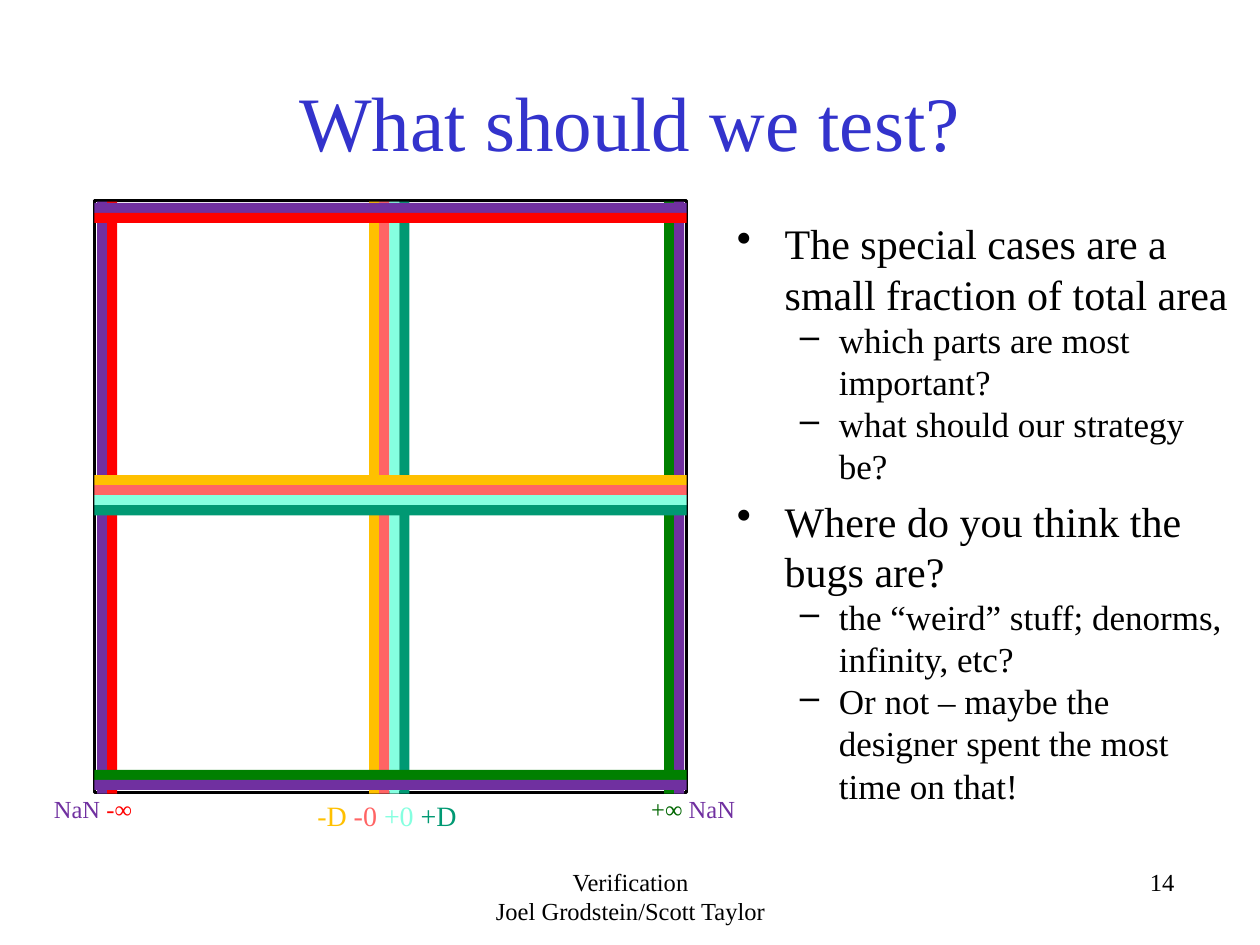
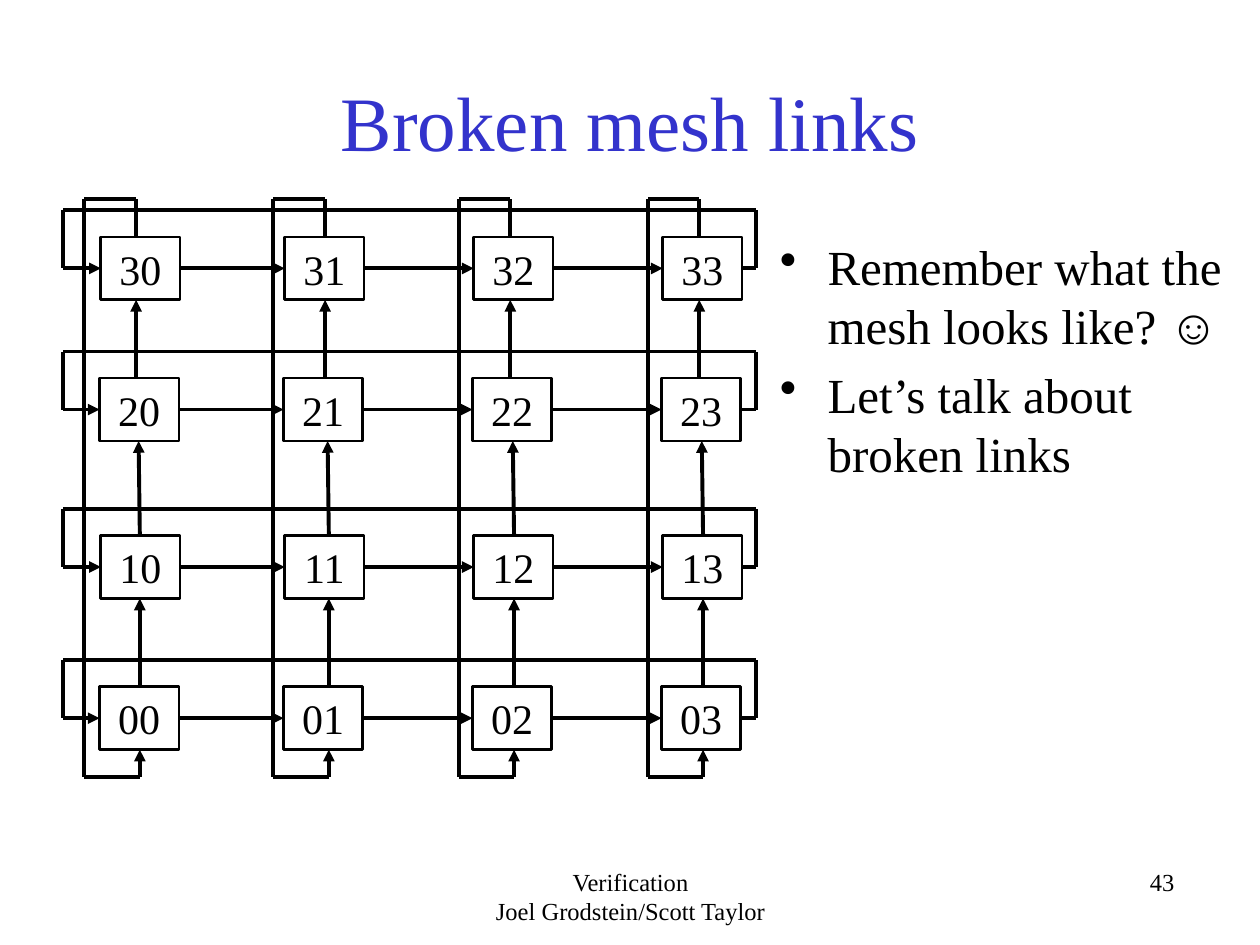
from dataclasses import dataclass
from typing import NamedTuple

from lxml.etree import SubElement
from pptx import Presentation
from pptx.dml.color import RGBColor
from pptx.enum.shapes import MSO_CONNECTOR, MSO_SHAPE
from pptx.enum.text import MSO_ANCHOR, MSO_AUTO_SIZE, PP_ALIGN
from pptx.oxml.ns import qn
from pptx.util import Emu, Pt

EMU_PER_PX = 9144
FONT = "Times New Roman"
BLACK = "000000"
WHITE = "FFFFFF"
TITLE_BLUE = "3333CC"
PURPLE = "7030A0"
RED = "FF0000"
GOLD = "FFC000"
CORAL = "FF6464"
AQUA = "85FFE0"
TEAL = "009973"
GREEN = "008000"
DARK_GREEN = "006600"

GRID_LEFT, GRID_TOP, GRID_SIDE = 75, 159, 470
BAND_WIDTH = 8
NODE_WIDTH, NODE_HEIGHT = 63, 50
RETURN_LEFT, RETURN_RIGHT, RETURN_RISE = 50, 600, 46
LOOP_TOP, LOOP_BOTTOM, LOOP_OFFSET = 158, 617, 44


class Area(NamedTuple):
    left: int
    top: int
    width: int
    height: int


class Point(NamedTuple):
    x: int
    y: int


class Span(NamedTuple):
    text: str
    color: str


class Bullet(NamedTuple):
    text: str
    size: int
    level: int = 0


@dataclass(frozen=True)
class Label:
    area: Area
    size: int
    spans: tuple[Span, ...]


@dataclass(frozen=True)
class BandGroup:
    offset: int
    colors: tuple[str, ...]


@dataclass(frozen=True)
class MeshRow:
    top: int
    shift: int


@dataclass(frozen=True)
class MeshColumn:
    left: int
    wire: int


TITLE_AREA = Area(75, 33, 850, 125)
FOOTER_AREA = Area(342, 683, 317, 50)
NUMBER_AREA = Area(625, 683, 317, 50)

BAND_GROUPS = (
    BandGroup(2, (PURPLE, RED)),
    BandGroup(218, (GOLD, CORAL, AQUA, TEAL)),
    BandGroup(452, (GREEN, PURPLE)),
)
LABELS = (
    Label(Area(242, 629, 146, 37), 16,
          (Span("-D ", GOLD), Span("-0 ", CORAL), Span("+0 ", AQUA), Span("+D", TEAL))),
    Label(Area(507, 625, 93, 34), 14, (Span("+∞ ", DARK_GREEN), Span("NaN", PURPLE))),
    Label(Area(33, 625, 100, 34), 14, (Span("NaN ", PURPLE), Span("-∞", RED))),
)
TEST_BULLETS = (
    Bullet("The special cases are a small fraction of total area", 24),
    Bullet("which parts are most important?", 20, 1),
    Bullet("what should our strategy be?", 20, 1),
    Bullet("Where do you think the bugs are?", 24),
    Bullet("the “weird” stuff; denorms, infinity, etc?", 20, 1),
    Bullet("Or not – maybe the designer spent the most time on that!", 20, 1),
)
MESH_BULLETS = (
    Bullet("Remember what the mesh looks like? ☺", 28),
    Bullet("Let’s talk about broken links", 28),
)
MESH_ROWS = (MeshRow(545, 0), MeshRow(425, 1), MeshRow(300, 0), MeshRow(188, 1))
MESH_COLUMNS = (MeshColumn(79, 111), MeshColumn(225, 261),
                MeshColumn(375, 408), MeshColumn(525, 558))
WIRE_LEAN = ((0, 0), (0, -1), (-3, -3))


def px(length: int) -> Emu:
    return Emu(length * EMU_PER_PX)


def rgb(color: str) -> RGBColor:
    return RGBColor.from_string(color)


def place(area: Area) -> list[Emu]:
    return [px(length) for length in area]


def format_runs(para, size: int, color: str = BLACK) -> None:
    for run in para.runs:
        run.font.name = FONT
        run.font.size = Pt(size)
        run.font.color.rgb = rgb(color)


def add_text_box(page, area: Area, text: str = "", size: int = 14, align=PP_ALIGN.LEFT):
    box = page.shapes.add_textbox(*place(area))
    box.text_frame.word_wrap = True
    box.text_frame.text = text
    for para in box.text_frame.paragraphs:
        para.alignment = align
        format_runs(para, size)
    return box


def add_rectangle(page, area: Area, fill: str | None, line: str | None = None, weight: float = 1):
    box = page.shapes.add_shape(MSO_SHAPE.RECTANGLE, *place(area))
    box.shadow.inherit = False
    if fill:
        box.fill.solid()
        box.fill.fore_color.rgb = rgb(fill)
    else:
        box.fill.background()
    if line:
        box.line.color.rgb = rgb(line)
        box.line.width = Pt(weight)
    else:
        box.line.fill.background()
    return box


def add_wire(page, start: Point, end: Point, arrow: bool = False):
    wire = page.shapes.add_connector(
        MSO_CONNECTOR.STRAIGHT, px(start.x), px(start.y), px(end.x), px(end.y))
    wire.line.color.rgb = rgb(BLACK)
    wire.line.width = Pt(2.25)
    if arrow:
        SubElement(wire.line._get_or_add_ln(), qn("a:tailEnd"), type="triangle")
    SubElement(wire._element.spPr, qn("a:effectLst"))
    return wire


def add_path(page, points: list[Point]) -> None:
    for start, end in zip(points, points[1:]):
        add_wire(page, start, end)


def add_page(deck, title: str, number: str):
    page = deck.slides.add_slide(deck.slide_layouts[5])
    heading = page.shapes.title
    heading.left, heading.top, heading.width, heading.height = place(TITLE_AREA)
    frame = heading.text_frame
    frame.text = title
    frame.auto_size = MSO_AUTO_SIZE.NONE
    frame.vertical_anchor = MSO_ANCHOR.MIDDLE
    frame.paragraphs[0].alignment = PP_ALIGN.CENTER
    format_runs(frame.paragraphs[0], 44, TITLE_BLUE)
    add_text_box(page, FOOTER_AREA, "Verification\nJoel Grodstein/Scott Taylor", align=PP_ALIGN.CENTER)
    add_text_box(page, NUMBER_AREA, number, align=PP_ALIGN.RIGHT)
    return page


def add_bullets(page, area: Area, bullets: tuple[Bullet, ...]) -> None:
    frame = add_text_box(page, area, "\n".join(bullet.text for bullet in bullets)).text_frame
    for index, (para, bullet) in enumerate(zip(frame.paragraphs, bullets)):
        margin, hanging, mark = ((38, 38, "•"), (81, 31, "–"))[bullet.level]
        para.level = bullet.level
        properties = para._p.get_or_add_pPr()
        properties.set("marL", str(px(margin)))
        properties.set("indent", str(px(-hanging)))
        SubElement(properties, qn("a:buChar"), char=mark)
        if index and bullet.level == 0:
            para.space_before = Pt(bullet.size * 0.2)
        format_runs(para, bullet.size)


def add_label(page, label: Label) -> None:
    para = add_text_box(page, label.area).text_frame.paragraphs[0]
    for span in label.spans:
        run = para.add_run()
        run.text = span.text
        run.font.name = FONT
        run.font.size = Pt(label.size)
        run.font.color.rgb = rgb(span.color)


def add_bands(page, vertical: bool) -> None:
    for group in BAND_GROUPS:
        for index, color in enumerate(group.colors):
            offset = group.offset + index * BAND_WIDTH
            if vertical:
                area = Area(GRID_LEFT + offset, GRID_TOP + 1, BAND_WIDTH, GRID_SIDE)
            else:
                area = Area(GRID_LEFT, GRID_TOP + offset, GRID_SIDE, BAND_WIDTH)
            add_rectangle(page, area, color)


def add_node(page, row: int, column: int):
    left = MESH_COLUMNS[column].left + MESH_ROWS[row].shift
    area = Area(left, MESH_ROWS[row].top, NODE_WIDTH, NODE_HEIGHT)
    node = add_rectangle(page, area, WHITE, BLACK, 1.5)
    frame = node.text_frame
    frame.text = f"{row}{column}"
    frame.vertical_anchor = MSO_ANCHOR.TOP
    frame.paragraphs[0].alignment = PP_ALIGN.CENTER
    format_runs(frame.paragraphs[0], 24)
    return node


def add_row_wires(page, row: MeshRow, nodes: list) -> None:
    middle = row.top + NODE_HEIGHT // 2
    rise = middle - RETURN_RISE
    for source, target in zip(nodes, nodes[1:]):
        link = add_wire(page, Point(0, middle), Point(0, middle), arrow=True)
        link.begin_connect(source, 3)
        link.end_connect(target, 1)
    corner = Point(RETURN_RIGHT, middle)
    leave = add_wire(page, corner, corner)
    leave.begin_connect(nodes[-1], 3)
    add_path(page, [corner, Point(RETURN_RIGHT, rise),
                    Point(RETURN_LEFT, rise), Point(RETURN_LEFT, middle)])
    enter = add_wire(page, Point(RETURN_LEFT, middle), Point(RETURN_LEFT, middle), arrow=True)
    enter.end_connect(nodes[0], 1)


def add_column_wires(page, column: MeshColumn) -> None:
    for lower, upper, (start, end) in zip(MESH_ROWS, MESH_ROWS[1:], WIRE_LEAN):
        add_wire(page, Point(column.wire + start, lower.top),
                 Point(column.wire + end, upper.top + NODE_HEIGHT), arrow=True)
    top_x = column.wire - 3
    loop_x = column.wire - LOOP_OFFSET
    foot = Point(column.wire, LOOP_BOTTOM)
    add_path(page, [Point(top_x, MESH_ROWS[-1].top), Point(top_x, LOOP_TOP),
                    Point(loop_x, LOOP_TOP), Point(loop_x, LOOP_BOTTOM), foot])
    add_wire(page, foot, Point(column.wire, MESH_ROWS[0].top + NODE_HEIGHT), arrow=True)


def build_test_page(deck) -> None:
    page = add_page(deck, "What should we test?", "14")
    add_bullets(page, Area(575, 168, 410, 515), TEST_BULLETS)
    for label in LABELS:
        add_label(page, label)
    add_rectangle(page, Area(GRID_LEFT, GRID_TOP, GRID_SIDE, GRID_SIDE), None, BLACK, 2)
    add_bands(page, vertical=True)
    add_bands(page, vertical=False)


def build_mesh_page(deck) -> None:
    page = add_page(deck, "Broken mesh links", "43")
    add_bullets(page, Area(609, 183, 391, 361), MESH_BULLETS)
    for index, row in enumerate(MESH_ROWS):
        nodes = [add_node(page, index, column) for column in range(len(MESH_COLUMNS))]
        add_row_wires(page, row, nodes)
    for column in MESH_COLUMNS:
        add_column_wires(page, column)


def main() -> None:
    deck = Presentation()
    deck.slide_width, deck.slide_height = px(1000), px(750)
    build_test_page(deck)
    build_mesh_page(deck)
    deck.save("out.pptx")


if __name__ == "__main__":
    main()
